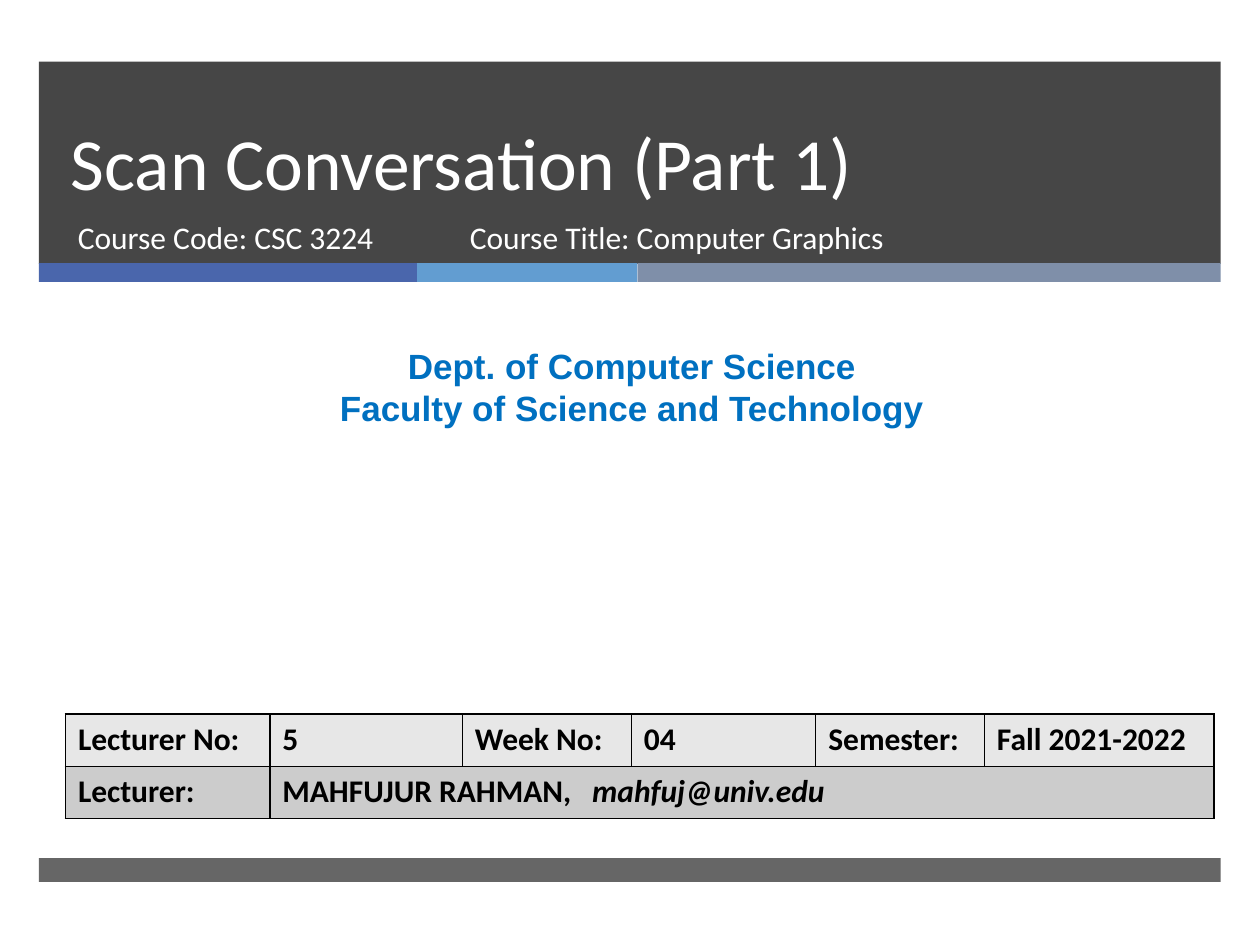
from lxml.etree import SubElement
from pptx import Presentation
from pptx.dml.color import RGBColor
from pptx.enum.shapes import MSO_SHAPE as Shape
from pptx.enum.text import MSO_ANCHOR as Anchor, MSO_AUTO_SIZE as AutoSize, PP_ALIGN as Align
from pptx.oxml.ns import qn
from pptx.util import Pt

COLORS = {
    "dark": "262626", "blue": "4A66AC", "sky": "629DD1", "slate": "7F8FA9",
    "white": "FFFFFF", "black": "000000", "dept": "0070C0",
    "row_light": "E7E7E7", "row_dark": "CCCCCC",
}


def rgb(name):
    return RGBColor.from_string(COLORS[name])


class SlideBuilder:
    def __init__(self, slide, font="Calibri", size=18):
        self.slide, self.font, self.size = slide, font, size

    def run(self, p, text, color, **formats):
        r = p.add_run()
        r.text = text
        values = {"name": self.font, "size": Pt(self.size), **formats}
        for key, value in values.items():
            setattr(r.font, key, value)
        r.font.color.rgb = rgb(color)

    def bar(self, x, y, w, h, color, opacity=100):
        sp = self.slide.shapes.add_shape(Shape.RECTANGLE, Pt(x), Pt(y), Pt(w), Pt(h))
        sp.shadow.inherit = False
        sp.line.fill.background()
        sp.fill.solid()
        sp.fill.fore_color.rgb = rgb(color)
        if opacity < 100:
            clr = sp.element.spPr.find(".//" + qn("a:srgbClr"))
            SubElement(clr, qn("a:alpha"), val=str(opacity * 1000))

    def title(self, x, y, w, h, text):
        sp = self.slide.shapes.title
        sp.left, sp.top, sp.width, sp.height = Pt(x), Pt(y), Pt(w), Pt(h)
        # Bring the title in front of the band
        sp.element.getparent().append(sp.element)
        tf = sp.text_frame
        tf.auto_size, tf.vertical_anchor = AutoSize.NONE, Anchor.BOTTOM
        p = tf.paragraphs[0]
        p.alignment, p.line_spacing = Align.LEFT, Pt(46)
        self.run(p, text, "white", size=Pt(42))

    def text(self, x, y, w, h, lines, color, align=Align.LEFT, **formats):
        sp = self.slide.shapes.add_textbox(Pt(x), Pt(y), Pt(w), Pt(h))
        tf = sp.text_frame
        tf.word_wrap = True
        for i, line in enumerate(lines):
            p = tf.add_paragraph() if i else tf.paragraphs[0]
            p.alignment = align
            self.run(p, line, color, **formats)

    def cell(self, cell, fill, *parts):
        cell.fill.solid()
        cell.fill.fore_color.rgb = rgb(fill)
        for text, italic in parts:
            self.run(cell.text_frame.paragraphs[0], text, "black", bold=True, italic=italic)
        # Black borders go before the fill in the cell properties
        tc_pr = cell._tc.get_or_add_tcPr()
        for i, side in enumerate(("lnL", "lnR", "lnT", "lnB")):
            ln = SubElement(tc_pr, qn("a:" + side), w=str(Pt(1)))
            line_fill = SubElement(ln, qn("a:solidFill"))
            SubElement(line_fill, qn("a:srgbClr"), val=COLORS["black"])
            tc_pr.insert(i, ln)

    def table(self, x, y, widths, row_height, rows):
        frame = self.slide.shapes.add_table(
            len(rows), len(widths), Pt(x), Pt(y), Pt(sum(widths)), Pt(row_height * len(rows)))
        table = frame.table
        for column, width in zip(table.columns, widths):
            column.width = Pt(width)
        for i, (fill, cells) in enumerate(rows):
            table.rows[i].height = Pt(row_height)
            for j in range(len(widths)):
                self.cell(table.cell(i, j), fill, *(cells[j] if j < len(cells) else []))
        return table


def main():
    prs = Presentation()
    prs.slide_width, prs.slide_height = Pt(720), Pt(540)
    s = SlideBuilder(prs.slides.add_slide(prs.slide_layouts[5]))

    # Header band, colour strip and footer bar
    left, width = 22.3, 675.2
    s.bar(left, 35.2, width, 115.6, "dark", 85)
    x = left
    for strip_width, color in ((216, "blue"), (126, "sky"), (333.2, "slate")):
        s.bar(x, 150.3, strip_width, 10.8, color)
        x += strip_width
    s.bar(left, 490.3, width, 13.7, "dark", 70)

    # Title and course details
    s.title(33.1, 35.2, 615, 85.8, "Scan Conversation (Part 1)")
    s.text(37.4, 121, 219.6, 38, ["Course Code: CSC 3224"], "white")
    s.text(261.4, 121.3, 327.6, 38, ["Course Title: Computer Graphics"], "white")

    # Department
    s.text(5.8, 193.2, 710.6, 55.7,
           ["Dept. of Computer Science", "Faculty of Science and Technology"],
           "dept", Align.CENTER, name="Arial", size=Pt(20), bold=True)

    # Lecture details
    labels = ["Lecturer No:", "5", "Week No:", "04", "Semester:", "Fall 2021-2022"]
    lecturer = [("MAHFUJUR RAHMAN,\t", False), ("mahfuj@univ.edu", True)]
    table = s.table(37.4, 408, [116.8, 110, 96.6, 105.4, 96.4, 131.2], 29.9, [
        ("row_light", [[(label, False)] for label in labels]),
        ("row_dark", [[("Lecturer:", False)], lecturer]),
    ])
    name_cell = table.cell(1, 1)
    name_cell.merge(table.cell(1, 5))
    p_pr = name_cell.text_frame.paragraphs[0]._p.get_or_add_pPr()
    tabs = SubElement(p_pr, qn("a:tabLst"))
    SubElement(tabs, qn("a:tab"), pos=str(Pt(177)), algn="l")

    prs.save("out.pptx")


if __name__ == "__main__":
    main()
